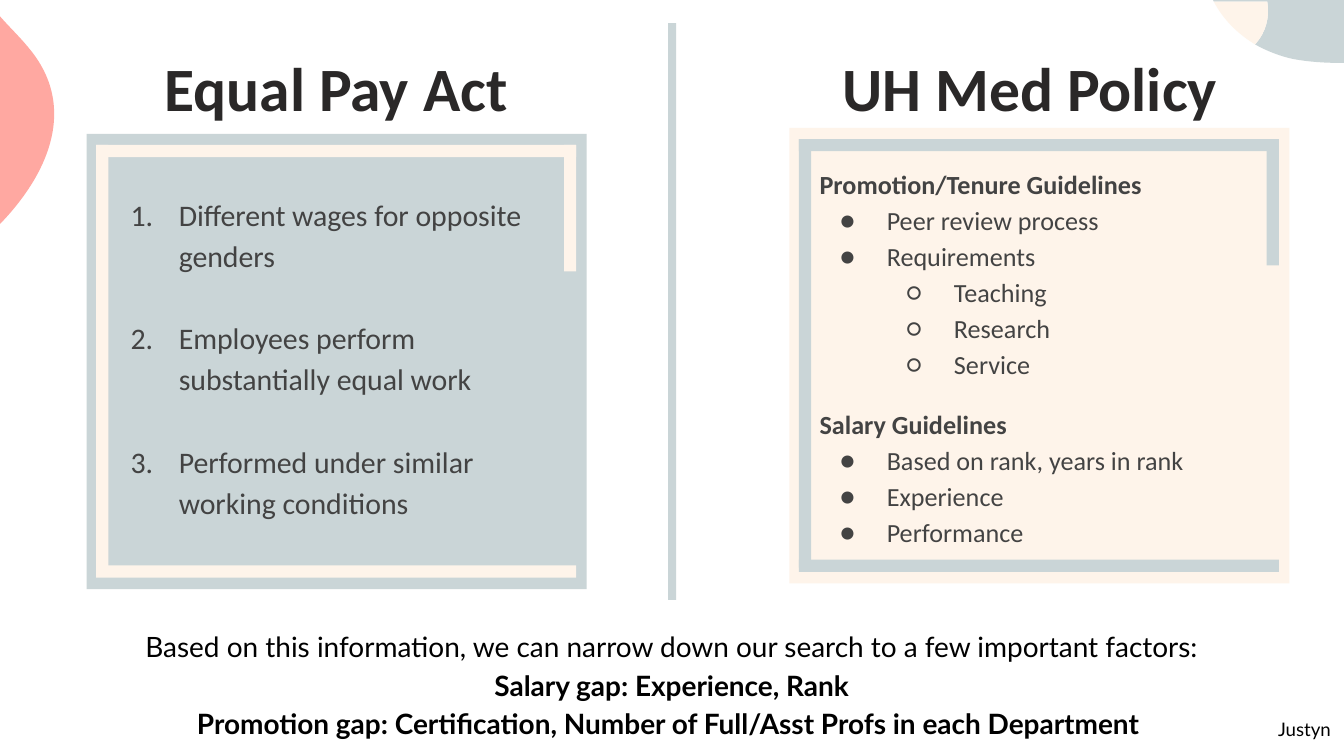
import pptx
import pptx.util
import pptx.dml.color
import pptx.enum.shapes
import pptx.enum.text
import lxml.etree

Cm = pptx.util.Cm
Pt = pptx.util.Pt
ALIGN = pptx.enum.text.PP_ALIGN
ANCHOR = pptx.enum.text.MSO_ANCHOR
SPACE = "{http://schemas.openxmlformats.org/drawingml/2006/main}"

HUES = {"mist": "CAD5D7", "cream": "FEF4EA", "coral": "FFA8A1",
        "title": "2A2828", "body": "434343", "black": "000000"}

BLOBS = [
    ("mist", (22.78, -0.28), [
        (22.83, -0.18, 22.89, -0.08, 22.94, 0.03), (23.95, 0.03),
        (24, 0.33, 23.93, 0.61, 23.72, 0.84),
        (23.95, 0.97, 24.21, 1.07, 24.46, 1.12),
        (24.74, 1.17, 25.04, 1.19, 25.32, 1.19),
        (25.4, 1.19, 25.5, 1.19, 25.6, 1.17), (25.6, -0.28)]),
    ("cream", (22.94, 0.03), [
        (23.11, 0.36, 23.39, 0.64, 23.72, 0.84),
        (23.93, 0.61, 24, 0.33, 23.95, 0.03)]),
    ("coral", (-1.6, -1.98), [
        (-1.63, -1.98, -1.63, -1.96, -1.63, -1.96),
        (-1.63, -1.93, -1.63, 2.34, -1.63, 4.32),
        (-1.27, 4.42, -0.91, 4.57, -0.61, 4.78),
        (0.58, 3.86, 1.7, 2.26, 0.53, 0.89),
        (0.3, 0.61, 0.03, 0.38, -0.18, 0.08),
        (-0.38, -0.2, -0.43, -0.56, -0.48, -0.89),
        (-0.53, -1.12, -0.58, -1.35, -0.69, -1.52),
        (-0.81, -1.73, -0.97, -1.8, -1.17, -1.85),
        (-1.22, -1.88, -1.52, -1.98, -1.6, -1.98)]),
]

CARDS = [(1.64, 2.53, "mist", "cream"), (14.92, 2.42, "cream", "mist")]
CARD_W, CARD_H = 9.45, 8.61
BARS = [(0.18, 0.21, 9.07, 0.23), (0.18, 0.21, 0.23, 8.1),
        (0.18, 8.16, 9.07, 0.23), (9.02, 0.21, 0.23, 2.39)]

HEAD, PLAIN, BOLD, DOT, RING, NUM = "head", "plain", "bold", "dot", "ring", "num"
MARKS = {DOT: ("●", 0, 1.27, 0.89), RING: ("○", 1, 2.54, 0.89),
         NUM: (None, 0, 1.27, 0.91)}

TEXTS = [
    dict(box=(2.05, 0.15, 8.61, 2.97), size=33, font="Calibri", hue="title",
         align=ALIGN.CENTER, anchor=ANCHOR.MIDDLE, lines=[(HEAD, "Equal Pay Act")]),
    dict(box=(14.74, 0.15, 9.45, 2.97), size=33, font="Calibri", hue="title",
         align=ALIGN.CENTER, anchor=ANCHOR.MIDDLE, lines=[(HEAD, "UH Med Policy")]),
    dict(box=(1.86, 3.37, 8.79, 6.71), size=16, font="Calibri", hue="body",
         align=ALIGN.LEFT, anchor=ANCHOR.MIDDLE, space=1.15, gap=22, lines=[
             (NUM, "Different wages for opposite genders"),
             (NUM, "Employees perform substantially equal work"),
             (NUM, "Performed under similar working conditions")]),
    dict(box=(15.24, 2.87, 8.79, 4.55), size=14, font="Calibri", hue="body",
         align=ALIGN.LEFT, anchor=ANCHOR.MIDDLE, space=1.15, lines=[
             (HEAD, "Promotion/Tenure Guidelines"),
             (DOT, "Peer review process"), (DOT, "Requirements"),
             (RING, "Teaching"), (RING, "Research"), (RING, "Service")]),
    dict(box=(15.24, 7.41, 8.79, 3.18), size=14, font="Calibri", hue="body",
         align=ALIGN.LEFT, anchor=ANCHOR.MIDDLE, space=1.15, lines=[
             (HEAD, "Salary Guidelines"), (DOT, "Based on rank, years in rank"),
             (DOT, "Experience"), (DOT, "Performance")]),
    dict(box=(0, 11.56, 25.4, 3.38), size=15, font="Lato", hue="black",
         align=ALIGN.CENTER, anchor=ANCHOR.TOP, space=1.15, lines=[
             (PLAIN, "Based on this information, we can narrow down our search "
                     "to a few important factors:"),
             (BOLD, "Salary gap: Experience, Rank"),
             (BOLD, "Promotion gap: Certification, Number of Full/Asst Profs "
                    "in each Department ")]),
    dict(box=(23.55, 13.35, 1.85, 0.94), size=10, font="Lato", hue="black",
         align=ALIGN.RIGHT, anchor=ANCHOR.TOP, lines=[(PLAIN, "Justyn")]),
]


def tint(hue):
    return pptx.dml.color.RGBColor.from_string(HUES[hue])


def paint(shape, hue):
    shape.fill.solid()
    shape.fill.fore_color.rgb = tint(hue)
    shape.line.fill.background()
    shape.shadow.inherit = False


def add_bar(slide, box, hue):
    kind = pptx.enum.shapes.MSO_SHAPE.RECTANGLE
    paint(slide.shapes.add_shape(kind, *map(Cm, box)), hue)


def add_blob(slide, hue, start, steps):
    pen = slide.shapes.build_freeform(*map(Cm, start))
    spots = [step[i:i + 2] for step in steps for i in range(0, len(step), 2)]
    pen.add_line_segments([(Cm(x), Cm(y)) for x, y in spots], close=True)
    shape = pen.convert_to_shape()
    lines = iter(list(shape._element.iter(SPACE + "lnTo")))
    for step in steps:
        first = next(lines)
        if len(step) == 6:
            first.tag = SPACE + "cubicBezTo"
            for _ in range(2):
                line = next(lines)
                first.append(line[0])
                line.getparent().remove(line)
    paint(shape, hue)


def add_mark(para, kind, item):
    sign, level, left, hang = MARKS[kind]
    para.level = level
    props = para._p.get_or_add_pPr()
    props.set("marL", str(Cm(left)))
    props.set("indent", str(-Cm(hang)))
    shade = lxml.etree.SubElement(props, SPACE + "buClr")
    lxml.etree.SubElement(shade, SPACE + "srgbClr", val=HUES[item["hue"]])
    lxml.etree.SubElement(props, SPACE + "buFont", typeface=item["font"])
    if sign:
        lxml.etree.SubElement(props, SPACE + "buChar", char=sign)
    else:
        lxml.etree.SubElement(props, SPACE + "buAutoNum", type="arabicPeriod")


def add_text(slide, item):
    frame = slide.shapes.add_textbox(*map(Cm, item["box"])).text_frame
    frame.word_wrap = True
    frame.vertical_anchor = item["anchor"]
    frame.margin_left = frame.margin_right = Cm(0.25)
    frame.margin_top = frame.margin_bottom = Cm(0.25)
    frame.text = "\n".join(words for _, words in item["lines"])
    for i, (para, (kind, _)) in enumerate(zip(frame.paragraphs, item["lines"])):
        para.alignment = item["align"]
        para.line_spacing = item.get("space", 1.0)
        if i and "gap" in item:
            para.space_before = Pt(item["gap"])
        if kind in MARKS:
            add_mark(para, kind, item)
        for run in para.runs:
            run.font.name = item["font"]
            run.font.size = Pt(item["size"])
            run.font.bold = kind in (HEAD, BOLD)
            run.font.color.rgb = tint(item["hue"])


def main():
    deck = pptx.Presentation()
    deck.slide_width, deck.slide_height = Cm(25.4), Cm(14.29)
    slide = deck.slides.add_slide(deck.slide_layouts[6])
    for blob in BLOBS:
        add_blob(slide, *blob)
    add_bar(slide, (12.63, 0.44, 0.15, 10.9), "mist")
    for left, top, back, trim in CARDS:
        add_bar(slide, (left, top, CARD_W, CARD_H), back)
        for x, y, wide, high in BARS:
            add_bar(slide, (left + x, top + y, wide, high), trim)
    for item in TEXTS:
        add_text(slide, item)
    deck.save("out.pptx")


if __name__ == "__main__":
    main()
